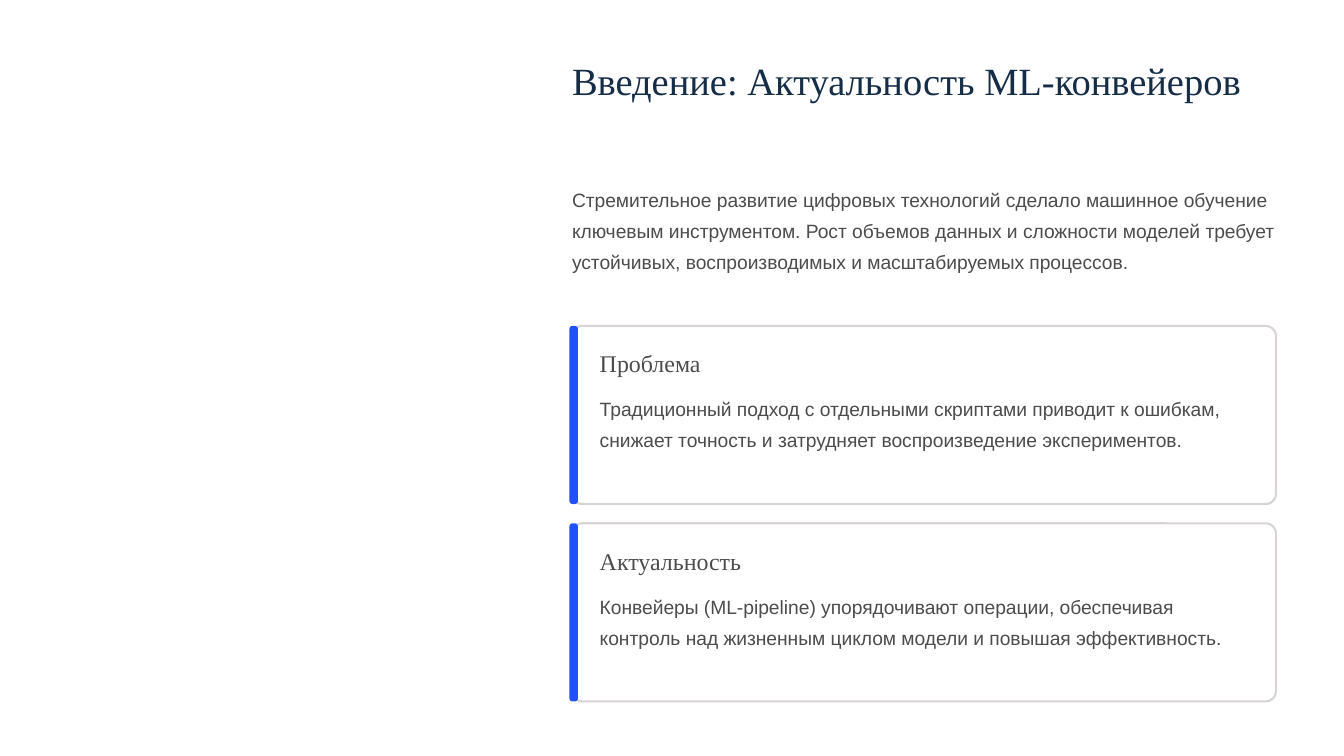
import pptx
import pptx.dml.color
import pptx.enum.shapes
import pptx.enum.text
import pptx.oxml
import pptx.util

WIDTH, HEIGHT = 16, 9
COLUMN_LEFT, COLUMN_WIDTH = 6.81, 8.38
CARD_TOP, CARD_HEIGHT, CARD_STEP = 3.88, 2.12, 2.35
SERIF, SANS = "Times New Roman", "Arial"
WHITE, NAVY, GREY, BORDER, BLUE = "FFFFFF", "152D47", "4C4C4D", "D8D4D4", "2150FE"

TITLE = "Введение: Актуальность ML-конвейеров"
INTRO = (
    "Стремительное развитие цифровых технологий сделало машинное обучение "
    "ключевым инструментом. Рост объемов данных и сложности моделей требует "
    "устойчивых, воспроизводимых и масштабируемых процессов."
)
CARDS = [
    (
        "Проблема",
        "Традиционный подход с отдельными скриптами приводит к ошибкам, "
        "снижает точность и затрудняет воспроизведение экспериментов.",
    ),
    (
        "Актуальность",
        "Конвейеры (ML-pipeline) упорядочивают операции, обеспечивая "
        "контроль над жизненным циклом модели и повышая эффективность.",
    ),
]


def color(value):
    return pptx.dml.color.RGBColor.from_string(value)


def inches(*lengths):
    return [pptx.util.Inches(length) for length in lengths]


def place(shape, box):
    shape.left, shape.top, shape.width, shape.height = inches(*box)


def write(shape, text, font_name, size, line_height, text_color):
    frame = shape.text_frame
    frame.text = text
    frame.word_wrap = True
    frame.auto_size = pptx.enum.text.MSO_AUTO_SIZE.NONE
    frame.vertical_anchor = pptx.enum.text.MSO_ANCHOR.TOP
    frame.margin_left = frame.margin_top = frame.margin_right = frame.margin_bottom = 0
    paragraph = frame.paragraphs[0]
    paragraph.alignment = pptx.enum.text.PP_ALIGN.LEFT
    paragraph.line_spacing = pptx.util.Pt(line_height)
    paragraph.space_before = pptx.util.Pt(0)
    paragraph.font.name = font_name
    paragraph.font.size = pptx.util.Pt(size)
    paragraph.font.color.rgb = color(text_color)
    return paragraph


def remove_bullet(paragraph):
    properties = paragraph._p.get_or_add_pPr()
    properties.set("marL", "0")
    properties.set("indent", "0")
    bullet = pptx.oxml.parse_xml(
        '<a:buNone xmlns:a="http://schemas.openxmlformats.org/drawingml/2006/main"/>'
    )
    properties.insert_element_before(bullet, "a:tabLst", "a:defRPr", "a:extLst")


def add_rounded(slide, box, radius, fill):
    shape = slide.shapes.add_shape(
        pptx.enum.shapes.MSO_SHAPE.ROUNDED_RECTANGLE, *inches(*box)
    )
    shape.adjustments[0] = radius
    shape.shadow.inherit = False
    shape.fill.solid()
    shape.fill.fore_color.rgb = color(fill)
    shape.line.fill.background()
    return shape


def add_header(slide, box):
    left, top, width, height = box
    title, body = slide.shapes.title, slide.placeholders[1]
    place(title, (left, top, width, 1.15))
    write(title, TITLE, SERIF, 33, 41.5, NAVY)
    place(body, (left, top + 1.5, width, height - 1.5))
    remove_bullet(write(body, INTRO, SANS, 16.5, 26.5, GREY))


def add_card(slide, box, heading, text):
    left, top, width, height = box
    panel = add_rounded(slide, box, 0.057, WHITE)
    panel.line.color.rgb = color(BORDER)
    panel.line.width = pptx.util.Pt(1.8)
    add_rounded(slide, (left - 0.03, top, 0.1, height), 0.346, BLUE)
    text_left, text_width = left + 0.33, width - 0.58
    heading_box = slide.shapes.add_textbox(
        *inches(text_left, top + 0.26, text_width, 0.36)
    )
    write(heading_box, heading, SERIF, 20.5, 25.5, GREY)
    text_box = slide.shapes.add_textbox(
        *inches(text_left, top + 0.76, text_width, 1.11)
    )
    write(text_box, text, SANS, 16.5, 26.5, GREY)


def main():
    presentation = pptx.Presentation()
    presentation.slide_width, presentation.slide_height = inches(WIDTH, HEIGHT)
    slide = presentation.slides.add_slide(presentation.slide_layouts[1])
    slide.background.fill.solid()
    slide.background.fill.fore_color.rgb = color(WHITE)
    add_header(slide, (COLUMN_LEFT, 0.65, COLUMN_WIDTH, 2.98))
    for row, (heading, text) in enumerate(CARDS):
        top = CARD_TOP + row * CARD_STEP
        add_card(slide, (COLUMN_LEFT, top, COLUMN_WIDTH, CARD_HEIGHT), heading, text)
    presentation.save("out.pptx")


if __name__ == "__main__":
    main()
